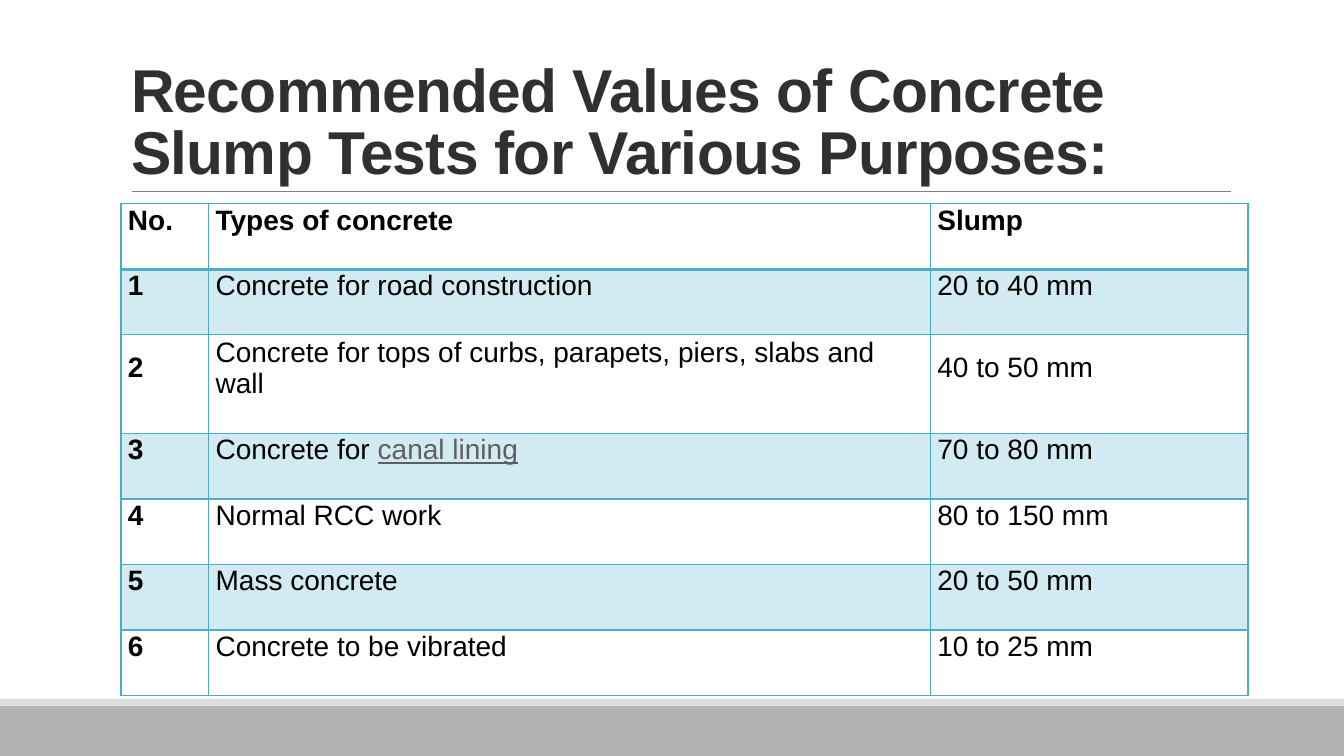
from dataclasses import dataclass

from lxml.etree import SubElement
from pptx import Presentation
from pptx.dml.color import RGBColor
from pptx.enum.shapes import MSO_CONNECTOR, MSO_SHAPE
from pptx.enum.text import MSO_ANCHOR, MSO_AUTO_SIZE, PP_ALIGN
from pptx.oxml.ns import qn
from pptx.slide import Slide
from pptx.table import _Cell as Cell
from pptx.util import Pt

WHITE = RGBColor(0xFF, 0xFF, 0xFF)
BLACK = RGBColor(0x00, 0x00, 0x00)
TITLE_GRAY = RGBColor(0x30, 0x30, 0x30)
RULE_GRAY = RGBColor(0x80, 0x80, 0x80)
BAND_GRAY = RGBColor(0xB2, 0xB2, 0xB2)
STRIP_GRAY = RGBColor(0xDD, 0xDD, 0xDD)
LINK_GRAY = RGBColor(0x5F, 0x5F, 0x5F)
BORDER_TEAL = RGBColor(0x4B, 0xAC, 0xC6)
ROW_BLUE = RGBColor(0xD2, 0xEA, 0xF1)

FONT = "Arial"
SLIDE_WIDTH, SLIDE_HEIGHT = 960, 540
TABLE_LEFT, TABLE_TOP = 86.4, 145.6
COLUMN_WIDTHS = (62.6, 515.6, 226.8)
ROW_HEIGHT, TALL_ROW_HEIGHT = 46.8, 70.4
LINE_HEIGHT = 23


@dataclass(frozen=True)
class Band:
    top: float
    height: float
    color: RGBColor


@dataclass(frozen=True)
class SlumpRow:
    number: str
    concrete: str
    slump: str
    linked: str = ""
    height: float = ROW_HEIGHT


FOOTER_BANDS = (Band(504, 36, BAND_GRAY), Band(499, 5, STRIP_GRAY))
SLUMP_ROWS = (
    SlumpRow("No.", "Types of concrete", "Slump"),
    SlumpRow("1", "Concrete for road construction", "20 to 40 mm"),
    SlumpRow("2", "Concrete for tops of curbs, parapets, piers, slabs and wall",
             "40 to 50 mm", height=TALL_ROW_HEIGHT),
    SlumpRow("3", "Concrete for ", "70 to 80 mm", linked="canal lining"),
    SlumpRow("4", "Normal RCC work", "80 to 150 mm"),
    SlumpRow("5", "Mass concrete", "20 to 50 mm"),
    SlumpRow("6", "Concrete to be vibrated", "10 to 25 mm"),
)


def draw_band(slide: Slide, band: Band) -> None:
    shape = slide.shapes.add_shape(
        MSO_SHAPE.RECTANGLE, 0, Pt(band.top), Pt(SLIDE_WIDTH), Pt(band.height))
    shape.shadow.inherit = False
    shape.fill.solid()
    shape.fill.fore_color.rgb = band.color
    shape.line.fill.background()


def draw_title_rule(slide: Slide) -> None:
    rule = slide.shapes.add_connector(
        MSO_CONNECTOR.STRAIGHT, Pt(94.3), Pt(136.8), Pt(879), Pt(136.8))
    rule.line.color.rgb = RULE_GRAY
    rule.line.width = Pt(0.5)
    SubElement(rule._element.spPr, qn("a:effectLst"))


def write_title(slide: Slide, text: str) -> None:
    title = slide.shapes.title
    title.left, title.top = Pt(86.4), Pt(22.3)
    title.width, title.height = Pt(792), Pt(114.5)
    frame = title.text_frame
    frame.text = text
    frame.word_wrap = True
    frame.auto_size = MSO_AUTO_SIZE.NONE
    frame.vertical_anchor = MSO_ANCHOR.BOTTOM
    paragraph = frame.paragraphs[0]
    paragraph.alignment = PP_ALIGN.LEFT
    paragraph.line_spacing = 0.85
    run = paragraph.runs[0]
    run.font.name = FONT
    run.font.size = Pt(43.2)
    run.font.bold = True
    run.font.color.rgb = TITLE_GRAY
    run.font._element.set("spc", "-50")


def set_border(cell: Cell, side: str, width: float) -> None:
    line = SubElement(cell._tc.get_or_add_tcPr(), qn(f"a:ln{side}"), w=str(Pt(width)))
    fill = SubElement(line, qn("a:solidFill"))
    SubElement(fill, qn("a:srgbClr"), val=str(BORDER_TEAL))


def format_cell(cell: Cell, row_index: int, bold: bool) -> None:
    cell.vertical_anchor = MSO_ANCHOR.MIDDLE
    cell.margin_left = cell.margin_right = Pt(5)
    cell.margin_top = 0
    cell.margin_bottom = Pt(LINE_HEIGHT)  # keeps one line free under the text
    for side in "LRTB":
        under_header = (row_index, side) in ((0, "B"), (1, "T"))
        set_border(cell, side, 2.25 if under_header else 1)
    cell.fill.solid()
    cell.fill.fore_color.rgb = ROW_BLUE if row_index % 2 else WHITE
    for run in cell.text_frame.paragraphs[0].runs:
        run.font.name = FONT
        run.font.size = Pt(20)
        run.font.bold = bold
        run.font.color.rgb = BLACK


def draw_slump_table(slide: Slide) -> None:
    table = slide.shapes.add_table(
        len(SLUMP_ROWS), len(COLUMN_WIDTHS), Pt(TABLE_LEFT), Pt(TABLE_TOP),
        Pt(sum(COLUMN_WIDTHS)), Pt(sum(row.height for row in SLUMP_ROWS))).table
    table.first_row = table.horz_banding = False
    for column, width in zip(table.columns, COLUMN_WIDTHS):
        column.width = Pt(width)
    for row_index, row in enumerate(SLUMP_ROWS):
        table.rows[row_index].height = Pt(row.height)
        for column_index, text in enumerate((row.number, row.concrete, row.slump)):
            cell = table.cell(row_index, column_index)
            cell.text_frame.text = text
            format_cell(cell, row_index, bold=row_index == 0 or column_index == 0)
        if row.linked:
            run = table.cell(row_index, 1).text_frame.paragraphs[0].add_run()
            run.text = row.linked
            run.font.name = FONT
            run.font.size = Pt(20)
            run.font.underline = True
            run.font.color.rgb = LINK_GRAY


def main() -> None:
    presentation = Presentation()
    presentation.slide_width = Pt(SLIDE_WIDTH)
    presentation.slide_height = Pt(SLIDE_HEIGHT)
    slide = presentation.slides.add_slide(presentation.slide_layouts[5])
    slide.background.fill.solid()
    slide.background.fill.fore_color.rgb = WHITE

    # Footer bands and title
    for band in FOOTER_BANDS:
        draw_band(slide, band)
    draw_title_rule(slide)
    write_title(slide, "Recommended Values of Concrete Slump Tests for Various Purposes:")

    # Slump values
    draw_slump_table(slide)
    presentation.save("out.pptx")


if __name__ == "__main__":
    main()
